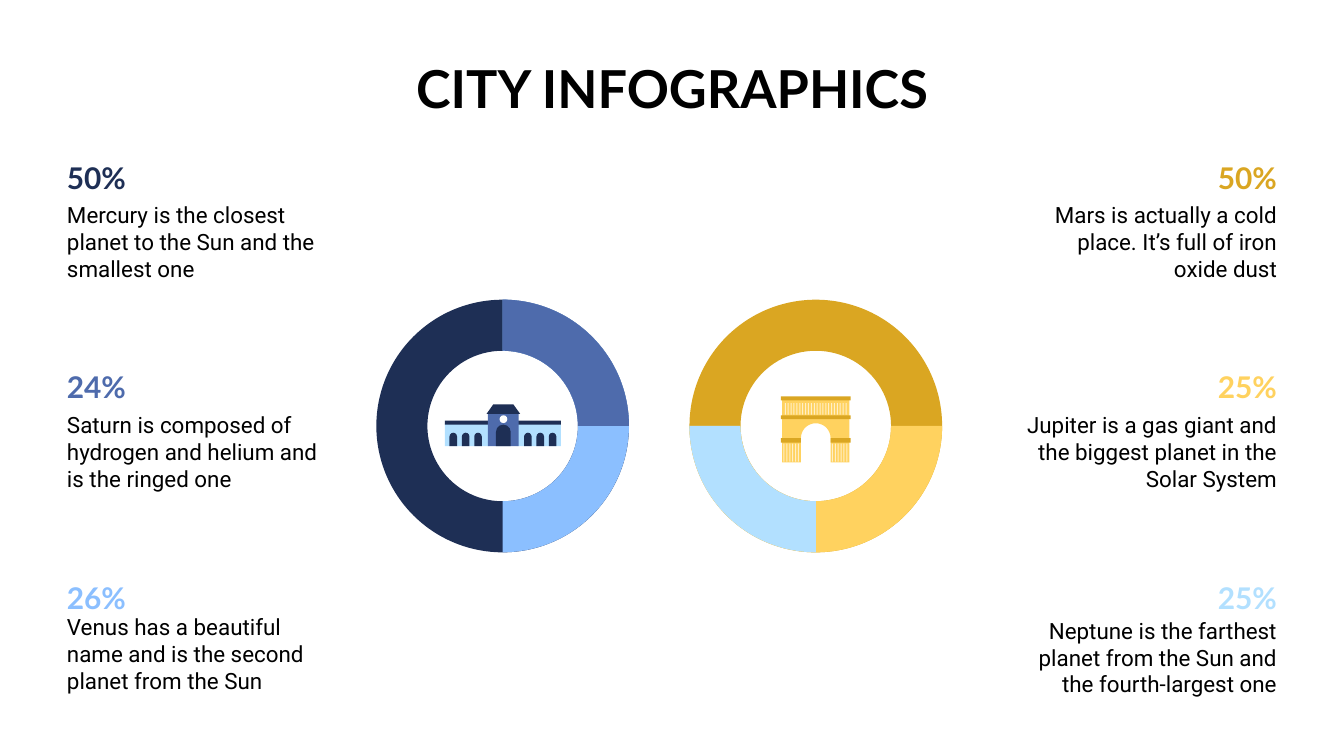
import math

import pptx
import pptx.dml.color
import pptx.enum.shapes
import pptx.enum.text
import pptx.util

RGBColor = pptx.dml.color.RGBColor
NAVY = RGBColor(0x1E, 0x2F, 0x55)
BLUE = RGBColor(0x4E, 0x6B, 0xAC)
LIGHT_BLUE = RGBColor(0x8B, 0xBF, 0xFF)
PALE_BLUE = RGBColor(0xB2, 0xE0, 0xFF)
GOLD = RGBColor(0xDA, 0xA6, 0x22)
YELLOW = RGBColor(0xFF, 0xD2, 0x5F)
CREAM = RGBColor(0xFF, 0xEF, 0xC7)
BLACK = RGBColor(0, 0, 0)
WHITE = RGBColor(255, 255, 255)

PRESET = pptx.enum.shapes.MSO_SHAPE
ALIGN = pptx.enum.text.PP_ALIGN
ANCHOR = pptx.enum.text.MSO_ANCHOR

# The slide is a grid of square cells, 1000 columns by 562.5 rows.
CELL = pptx.util.Inches(0.01)
COLUMNS, ROWS = 1000, 562.5

TITLE_FONT = {"name": "Lato", "size": pptx.util.Pt(28), "bold": True}
PERCENT_FONT = {"name": "Lato", "size": pptx.util.Pt(16), "bold": True}
BODY_FONT = {"name": "Roboto", "size": pptx.util.Pt(12), "bold": False}
PERCENT_SPACING = {"line_spacing": 1.15, "space_after": pptx.util.Pt(16)}

MARGIN = 40
BODY_WIDTH, PERCENT_WIDTH = 211, 143
RING_RADIUS, HOLE_RADIUS = 94, 56
RING_ROW = 317

# Per entry: percent, colour, percent row, text, text row, anchor
LEFT_ENTRIES = [
    ("50%", NAVY, 105, "Mercury is the closest planet to the Sun and the smallest one", 140, ANCHOR.TOP),
    ("24%", BLUE, 260, "Saturn is composed of hydrogen and helium and is the ringed one", 296, ANCHOR.TOP),
    ("26%", LIGHT_BLUE, 417, "Venus has a beautiful name and is the second planet from the Sun", 455, ANCHOR.MIDDLE),
]
RIGHT_ENTRIES = [
    ("50%", GOLD, 105, "Mars is actually a cold place. It’s full of iron oxide dust", 140, ANCHOR.TOP),
    ("25%", YELLOW, 260, "Jupiter is a gas giant and the biggest planet in the Solar System", 296, ANCHOR.TOP),
    ("25%", PALE_BLUE, 417, "Neptune is the farthest planet from the Sun and the fourth-largest one", 449, ANCHOR.TOP),
]


def cells(*counts):
    return [round(count * CELL) for count in counts]


def set_attributes(target, values):
    for name, value in values.items():
        setattr(target, name, value)


def write_text(shape, text, font, color, alignment, anchor=ANCHOR.TOP, spacing=None):
    frame = shape.text_frame
    inset = 10 * CELL
    set_attributes(frame, {
        "word_wrap": True, "vertical_anchor": anchor,
        "auto_size": pptx.enum.text.MSO_AUTO_SIZE.NONE,
        "margin_left": inset, "margin_right": inset,
        "margin_top": inset, "margin_bottom": inset,
    })
    paragraph = frame.paragraphs[0]
    set_attributes(paragraph, {"alignment": alignment, **(spacing or {})})
    run = paragraph.add_run()
    run.text = text
    set_attributes(run.font, font)
    run.font.color.rgb = color


def paint(shape, color):
    shape.shadow.inherit = False
    shape.fill.solid()
    shape.fill.fore_color.rgb = color
    shape.line.fill.background()


def add_preset(shapes, preset, box, color, adjustments=()):
    shape = shapes.add_shape(preset, *cells(*box))
    for index, value in enumerate(adjustments):
        shape.adjustments[index] = value
    paint(shape, color)


def add_block(shapes, box, color):
    add_preset(shapes, PRESET.RECTANGLE, box, color)


def add_arched_opening(shapes, box, color):
    add_preset(shapes, PRESET.ROUND_2_SAME_RECTANGLE, box, color, (0.5, 0))


def add_outline(shapes, points, color):
    start, *others = [cells(*point) for point in points]
    builder = shapes.build_freeform(*start)
    builder.add_line_segments(others, close=True)
    paint(builder.convert_to_shape(), color)


def arc_points(center, radius, start, end):
    """Points along an arc, in degrees clockwise from twelve o'clock."""
    steps = round(abs(end - start) / 2)
    angles = [math.radians(start + (end - start) * step / steps) for step in range(steps + 1)]
    return [(center[0] + radius * math.sin(a), center[1] - radius * math.cos(a)) for a in angles]


def add_ring(shapes, column, base_color, sectors):
    """A full ring with coloured sectors laid over it."""
    center = (column, RING_ROW)
    box = (column - RING_RADIUS, RING_ROW - RING_RADIUS, 2 * RING_RADIUS, 2 * RING_RADIUS)
    thickness = (RING_RADIUS - HOLE_RADIUS) / (2 * RING_RADIUS)
    add_preset(shapes, PRESET.DONUT, box, base_color, (thickness,))
    for color, start, end in sectors:
        outer = arc_points(center, RING_RADIUS, start, end)
        inner = arc_points(center, HOLE_RADIUS, end, start)
        add_outline(shapes, outer + inner, color)


def add_station(slide):
    shapes = slide.shapes.add_group_shape().shapes
    for wing, first_window in ((384.5, 390), (331, 334.5)):
        add_block(shapes, (wing, 315, 33, 17), PALE_BLUE)
        add_block(shapes, (wing, 313, 33, 3), NAVY)
        for window in range(3):
            add_arched_opening(shapes, (first_window + 9.2 * window, 322, 5.6, 10), NAVY)
    add_block(shapes, (363, 307, 23, 25), BLUE)
    add_arched_opening(shapes, (369, 316, 11, 16), NAVY)
    add_preset(shapes, PRESET.TRAPEZOID, (362, 301, 25, 7), NAVY, (0.71,))
    add_preset(shapes, PRESET.OVAL, (371.7, 309, 5.8, 5.8), WHITE)


def add_arch(slide):
    shapes = slide.shapes.add_group_shape().shapes
    opening = arc_points((607, 326), 11, -90, 90)
    body = [(582, 296), (582, 344), (596, 344), *opening, (618, 344), (632, 344), (632, 296)]
    add_outline(shapes, body, YELLOW)
    for ledge in ((581, 309, 52, 3), (581, 295, 52, 3), (581, 326, 15, 3.4), (618, 326, 15, 3.4)):
        add_block(shapes, ledge, GOLD)
    # Per row of bars: first column, top row, height, count
    for first, top, height, count in ((583, 330, 13.5, 6), (619, 330, 13.5, 6), (584, 300, 8.5, 22)):
        for bar in range(count):
            add_block(shapes, (first + 2.15 * bar, top, 0.8, height), CREAM)


def add_entries(slide, entries, alignment):
    def left(width):
        return MARGIN if alignment == ALIGN.LEFT else COLUMNS - MARGIN - width

    for percent, color, percent_row, text, text_row, anchor in entries:
        body = slide.shapes.add_textbox(*cells(left(BODY_WIDTH), text_row, BODY_WIDTH, 63))
        write_text(body, text, BODY_FONT, BLACK, alignment, anchor)
        label = slide.shapes.add_textbox(*cells(left(PERCENT_WIDTH), percent_row, PERCENT_WIDTH, 42))
        write_text(label, percent, PERCENT_FONT, color, alignment, spacing=PERCENT_SPACING)


def add_title(slide, text):
    title = slide.shapes.title
    position = zip(("left", "top", "width", "height"), cells(34, 32, COLUMNS - 2 * 34, 63))
    set_attributes(title, dict(position))
    write_text(title, text, TITLE_FONT, BLACK, ALIGN.CENTER)


def main():
    presentation = pptx.Presentation()
    presentation.slide_width, presentation.slide_height = cells(COLUMNS, ROWS)
    slide = presentation.slides.add_slide(presentation.slide_layouts[5])
    add_title(slide, "CITY INFOGRAPHICS")
    add_ring(slide.shapes, 374, NAVY, [(LIGHT_BLUE, 0, 180), (BLUE, 0, 90)])
    add_ring(slide.shapes, 607, GOLD, [(YELLOW, 90, 270), (PALE_BLUE, 180, 270)])
    add_station(slide)
    add_arch(slide)
    add_entries(slide, LEFT_ENTRIES, ALIGN.LEFT)
    add_entries(slide, RIGHT_ENTRIES, ALIGN.RIGHT)
    presentation.save("out.pptx")


if __name__ == "__main__":
    main()
